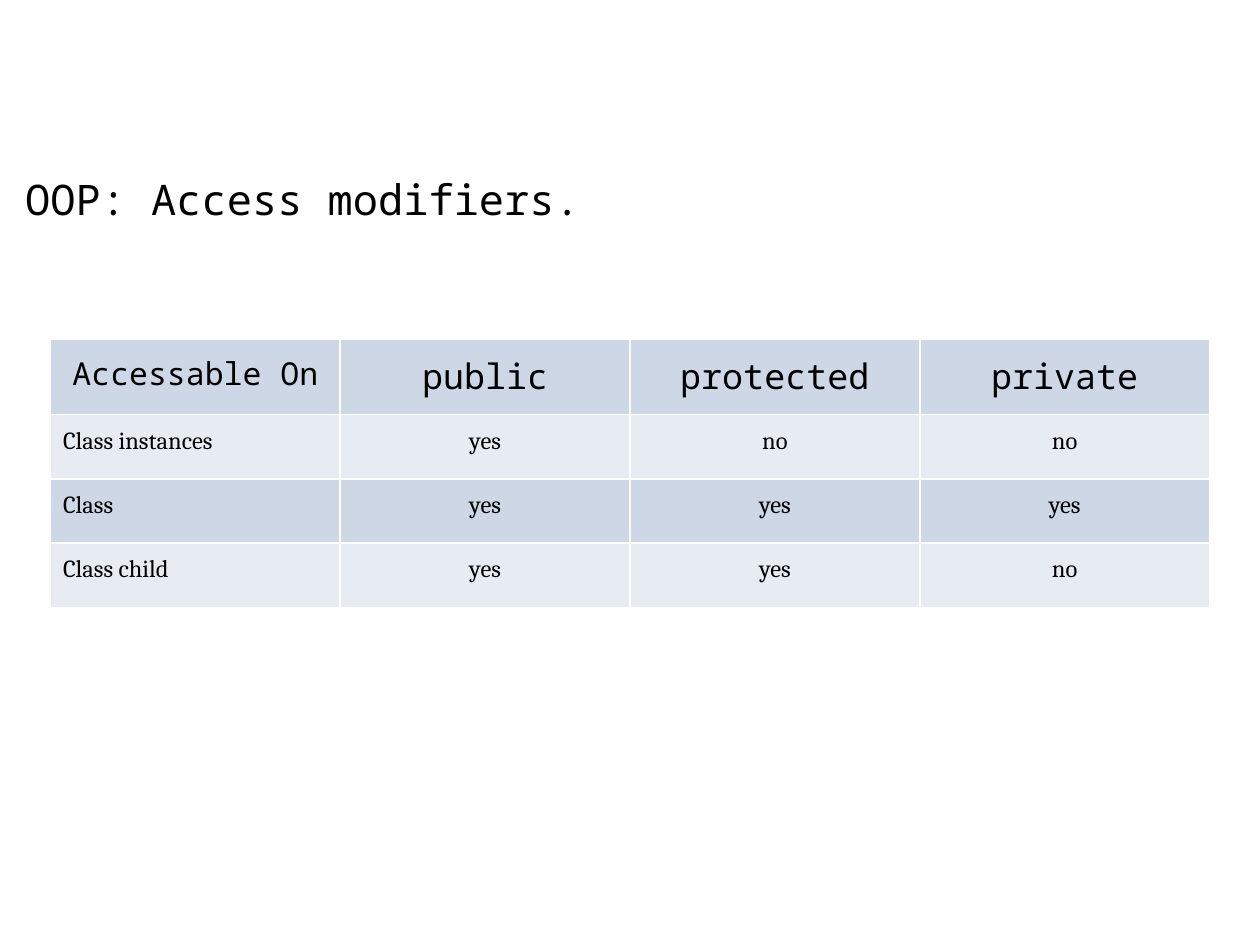
from dataclasses import dataclass

from lxml.etree import SubElement
from pptx import Presentation
from pptx.dml.color import RGBColor
from pptx.enum.text import MSO_ANCHOR, PP_ALIGN
from pptx.oxml.ns import qn
from pptx.util import Inches, Pt


@dataclass(frozen=True)
class Theme:
    """Colours, fonts and type sizes of the slide."""
    text: str = "000000"
    border: str = "FFFFFF"
    bands: tuple = ("CDD7E6", "E7ECF3")
    code_font: str = "Noto Sans Mono"
    body_font: str = "Cambria"
    title_size: int = 24
    corner_size: int = 18
    header_size: int = 20
    body_size: int = 14


theme = Theme()


def write_text(frame, text, *, font, size, align=PP_ALIGN.LEFT):
    """Put one formatted paragraph into a text frame."""
    frame.word_wrap = True
    paragraph = frame.paragraphs[0]
    paragraph.alignment = align
    run = paragraph.add_run()
    run.text = text
    run.font.name = font
    run.font.size = Pt(size)
    run.font.bold = False
    run.font.color.rgb = RGBColor.from_string(theme.text)


def add_borders(cell, color, width):
    """Draw a solid line on all four sides of a table cell."""
    properties = cell._tc.get_or_add_tcPr()
    for side in ("lnL", "lnR", "lnT", "lnB"):
        line = SubElement(properties, qn(f"a:{side}"), w=str(Pt(width)))
        fill = SubElement(line, qn("a:solidFill"))
        SubElement(fill, qn("a:srgbClr"), val=color)


presentation = Presentation()
presentation.slide_width = Inches(10)
presentation.slide_height = Inches(7.5)
slide = presentation.slides.add_slide(presentation.slide_layouts[5])

title = slide.shapes.title
title.left, title.top = Inches(0.1), Inches(1.28)
title.width, title.height = Inches(8.38), Inches(0.59)
title_frame = title.text_frame
title_frame.vertical_anchor = MSO_ANCHOR.TOP
title_frame.margin_left = title_frame.margin_right = Inches(0.1)
title_frame.margin_top = title_frame.margin_bottom = Inches(0.1)
write_text(title_frame, "OOP: Access modifiers.",
           font=theme.code_font, size=theme.title_size)

access_rows = [
    ("Accessable On", "public", "protected", "private"),
    ("Class instances", "yes", "no", "no"),
    ("Class", "yes", "yes", "yes"),
    ("Class child", "yes", "yes", "no"),
]
row_heights = (0.6, 0.51, 0.51, 0.51)
table = slide.shapes.add_table(
    len(access_rows), len(access_rows[0]),
    Inches(0.4), Inches(2.69), Inches(9.2), Inches(sum(row_heights))).table
table.first_row = False
table.horz_banding = False

for row_index, (labels, height) in enumerate(zip(access_rows, row_heights)):
    table.rows[row_index].height = Inches(height)
    is_header = row_index == 0
    for column_index, label in enumerate(labels):
        is_label = column_index == 0
        cell = table.cell(row_index, column_index)
        cell.margin_left = cell.margin_right = Inches(0.1)
        cell.margin_top = cell.margin_bottom = Inches(0.1)
        add_borders(cell, theme.border, 1)
        cell.fill.solid()
        cell.fill.fore_color.rgb = RGBColor.from_string(theme.bands[row_index % 2])
        if is_header:
            font = theme.code_font
            size = theme.corner_size if is_label else theme.header_size
        else:
            font, size = theme.body_font, theme.body_size
        align = PP_ALIGN.LEFT if is_label and not is_header else PP_ALIGN.CENTER
        write_text(cell.text_frame, label, font=font, size=size, align=align)

presentation.save("out.pptx")
